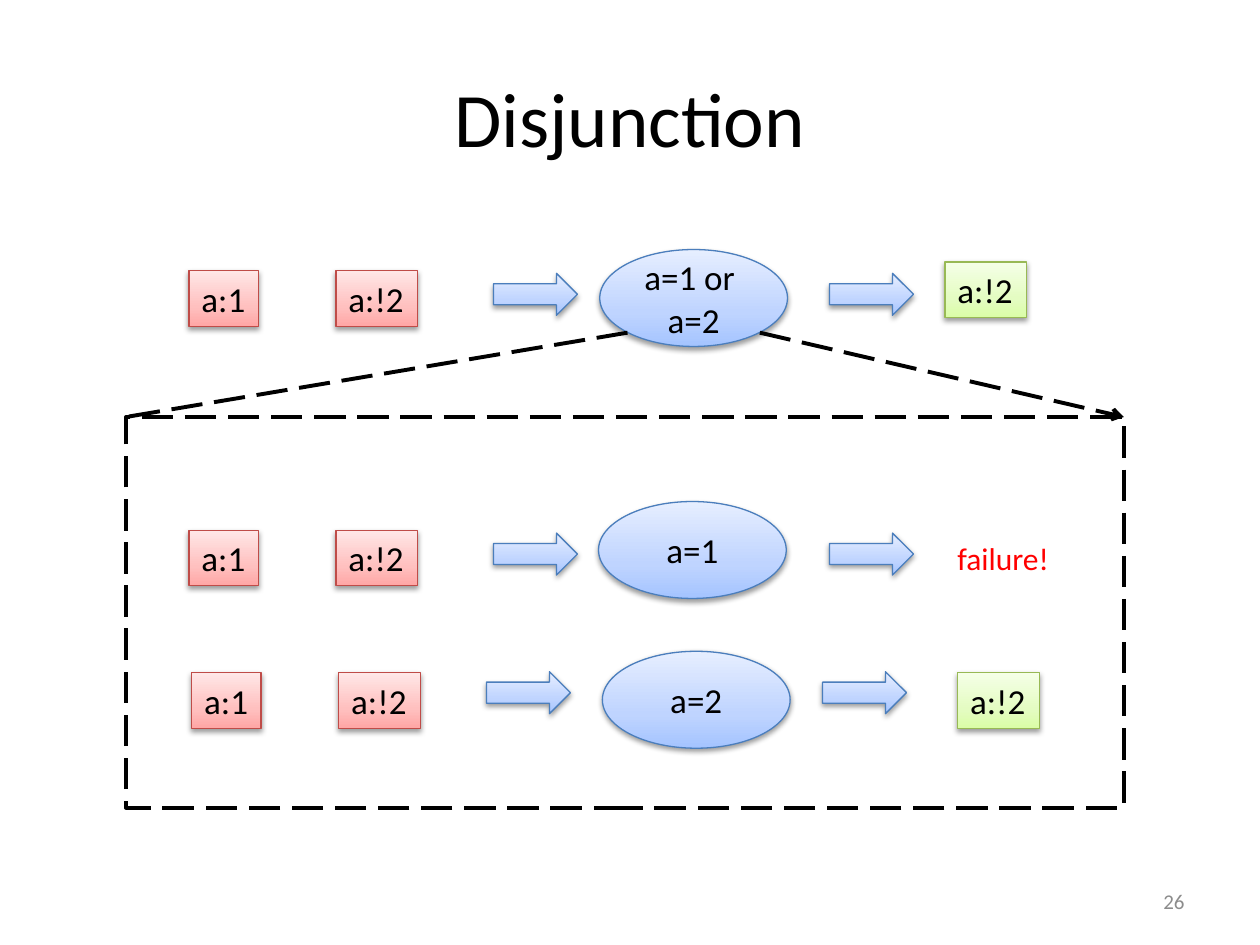
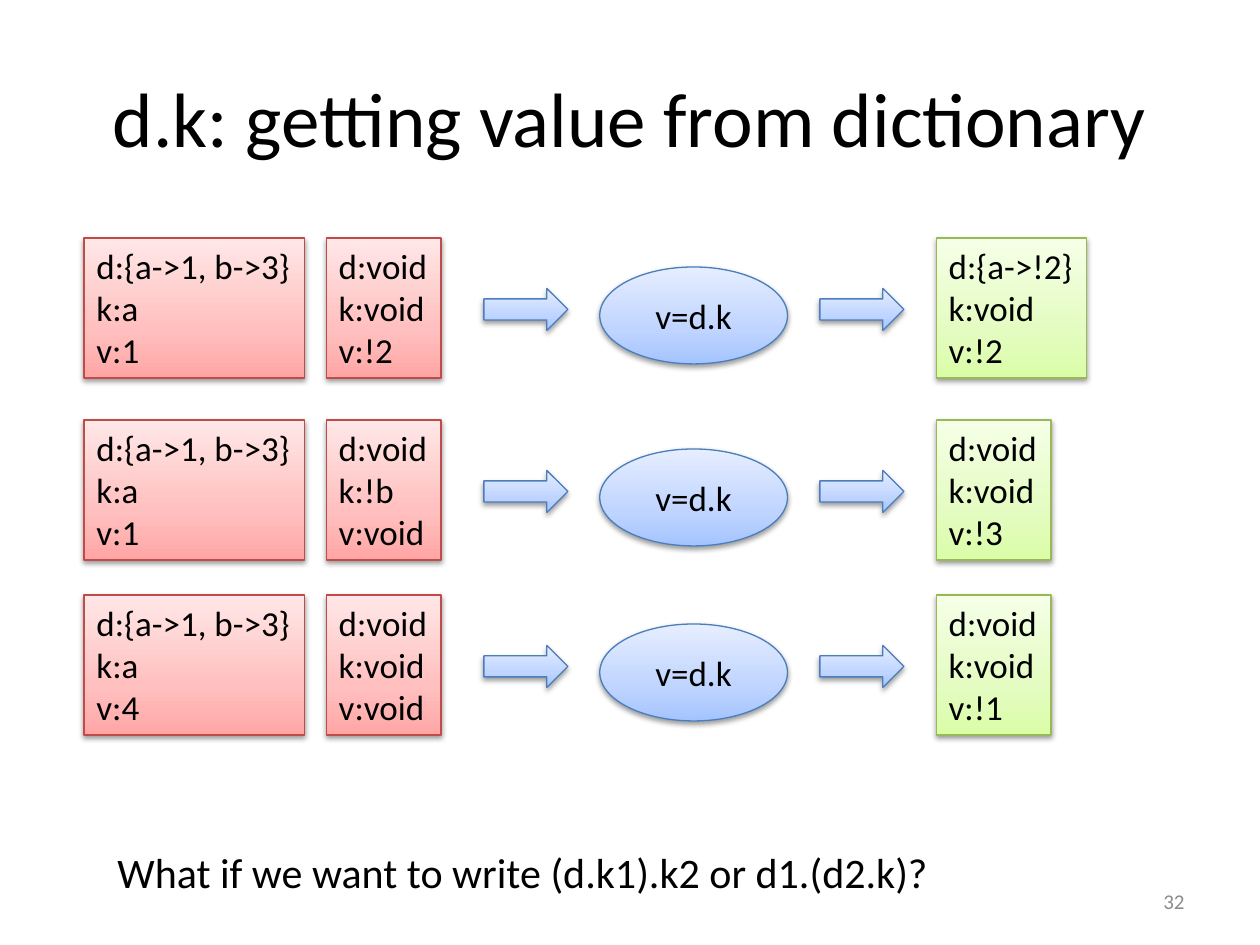
from lxml import etree
from pptx import Presentation
from pptx.dml.color import RGBColor
from pptx.enum.dml import MSO_LINE
from pptx.enum.shapes import MSO_CONNECTOR, MSO_SHAPE
from pptx.enum.text import MSO_ANCHOR, MSO_AUTO_SIZE, PP_ALIGN
from pptx.oxml.ns import qn
from pptx.util import Pt

RECTANGLE, OVAL, RIGHT_ARROW = MSO_SHAPE.RECTANGLE, MSO_SHAPE.OVAL, MSO_SHAPE.RIGHT_ARROW
LEFT, CENTER, RIGHT = PP_ALIGN.LEFT, PP_ALIGN.CENTER, PP_ALIGN.RIGHT
TOP, MIDDLE = MSO_ANCHOR.TOP, MSO_ANCHOR.MIDDLE
FIT, FIXED = MSO_AUTO_SIZE.SHAPE_TO_FIT_TEXT, MSO_AUTO_SIZE.NONE
LONG_DASH = MSO_LINE.LONG_DASH

# Content: (inputs, constraint, result); a line break inside a paragraph is \v
DISJUNCTION = {
    "title": "Disjunction",
    "number": "26",
    "rows": [
        (["a:1", "a:!2"], "a=1 or \va=2", "a:!2"),
        (["a:1", "a:!2"], "a=1", "failure!"),
        (["a:1", "a:!2"], "a=2", "a:!2"),
    ],
}
DICTIONARY = {
    "title": "d.k: getting value from dictionary",
    "number": "32",
    "rows": [
        (["d:{a->1, b->3}\vk:a\nv:1", "d:void\vk:void\nv:!2"], "v=d.k", "d:{a->!2}\vk:void\nv:!2"),
        (["d:{a->1, b->3}\vk:a\nv:1", "d:void\vk:!b\nv:void"], "v=d.k", "d:void\vk:void\nv:!3"),
        (["d:{a->1, b->3}\vk:a\nv:4", "d:void\vk:void\nv:void"], "v=d.k", "d:void\vk:void\nv:!1"),
    ],
    "question": "What if we want to write (d.k1).k2 or d1.(d2.k)?",
}

# Look
COLORS = {"text": "000000", "failure": "FF0000", "number": "8C8C8C", "frame": "000000",
          "shadow": "000000"}
STYLES = {
    "input": {"line": "BF4C48", "stops": ["FFA6A5", "FFC0BF", "FFE7E7"]},
    "result": {"line": "98B955", "stops": ["DAFDA7", "E4FCC2", "F5FFE7"]},
    "process": {"line": "4B7EBC", "stops": ["A4C4FF", "BFD4FF", "E6EEFF"]},
}
STOP_POSITIONS = [0, 35000, 100000]
FONT = "Calibri"

# Geometry in points
OVAL_SIZE, ARROW_SIZE, ARROW_STEP = (107.3, 55.4), (48, 24), 192
FRAME = (72, 238.3, 570.2, 223.2)
FRAME_RIGHT = FRAME[0] + FRAME[2]
CALLOUT_LINES = [((358.6, 190.1), FRAME[:2], False),
                 ((434.2, 190.1), (FRAME_RIGHT, FRAME[1]), True)]
DISJUNCTION_PLACES = [
    {"inputs": (108, 154.8), "arrow": (282, 156.2), "oval": (342.7, 142.6), "result": (540, 149.8)},
    {"inputs": (108, 303.1), "arrow": (282, 304.6), "oval": (342, 286.6), "result": (540, 304.6)},
    {"inputs": (109.6, 384.5), "arrow": (278, 383.8), "oval": (344.2, 372.2), "result": (547.2, 384.5)},
]
DICTIONARY_TOPS = [136, 240, 340]
DICTIONARY_PLACES = [
    {"inputs": (48, top), "arrow": (276.5, top + 28.8), "oval": (342.7, top + 16.6),
     "result": (535, top)} for top in DICTIONARY_TOPS]
DISJUNCTION_BOXES = {"step": 84, "height": 31.7, "widths": {"a:1": 39.6, "a:!2": 46.8}}
DICTIONARY_BOXES = {"step": 138.5, "height": 80,
                    "widths": {"d:{a->1, b->3}": 126, "d:{a->!2}": 85.7, "d:void": 65.6}}


def write_text(shape, text, size=20, color="text", align=LEFT, anchor=TOP, wrap=False, fit=FIT):
    frame = shape.text_frame
    frame.text = text
    values = {"word_wrap": wrap, "auto_size": fit, "vertical_anchor": anchor}
    for name, value in values.items():
        setattr(frame, name, value)
    for paragraph in frame.paragraphs:
        paragraph.alignment = align
        for run in paragraph.runs:
            for name, value in {"name": FONT, "size": Pt(size)}.items():
                setattr(run.font, name, value)
            run.font.color.rgb = RGBColor.from_string(COLORS[color])


def add_text(slide, box, text, **options):
    write_text(slide.shapes.add_textbox(*map(Pt, box)), text, **options)


def add_color(parent, color):
    return etree.SubElement(parent, qn("a:srgbClr"), val=color)


def add_filled_shape(slide, kind, box, style):
    shape = slide.shapes.add_shape(kind, *map(Pt, box))
    properties = shape.element.spPr
    # Gradient rising from the bottom edge
    shape.fill.gradient()
    shape.fill.gradient_angle = 90
    stops = properties.find(".//" + qn("a:gsLst"))
    for stop in list(stops):
        stops.remove(stop)
    for position, color in zip(STOP_POSITIONS, STYLES[style]["stops"]):
        add_color(etree.SubElement(stops, qn("a:gs"), pos=str(position)), color)
    shape.line.color.rgb = RGBColor.from_string(STYLES[style]["line"])
    shape.line.width = Pt(0.75)
    # Soft shadow straight below
    shape.shadow.inherit = False
    shadow = etree.SubElement(properties.find(qn("a:effectLst")), qn("a:outerShdw"),
                              blurRad=str(Pt(3.1)), dist=str(Pt(1.6)), dir="5400000",
                              rotWithShape="0")
    etree.SubElement(add_color(shadow, COLORS["shadow"]), qn("a:alpha"), val="38000")
    return shape


def add_value_box(slide, left, top, text, style, boxes):
    width = boxes["widths"][text.split("\v")[0]]
    shape = add_filled_shape(slide, RECTANGLE, (left, top, width, boxes["height"]), style)
    write_text(shape, text)


def add_row(slide, row, places, boxes):
    inputs, constraint, result = row
    left, top = places["inputs"]
    for index, text in enumerate(inputs):
        add_value_box(slide, left + index * boxes["step"], top, text, "input", boxes)
    left, top = places["arrow"]
    for index in range(2):
        add_filled_shape(slide, RIGHT_ARROW, (left + index * ARROW_STEP, top, *ARROW_SIZE), "process")
    oval = add_filled_shape(slide, OVAL, (*places["oval"], *OVAL_SIZE), "process")
    write_text(oval, constraint, align=CENTER, anchor=MIDDLE, fit=FIXED)
    if result == "failure!":
        add_text(slide, (*places["result"], 67.7, 29), result, size=18, color="failure")
    else:
        add_value_box(slide, *places["result"], result, "result", boxes)


def dash_line(line):
    line.color.rgb = RGBColor.from_string(COLORS["frame"])
    for name, value in {"width": Pt(2.25), "dash_style": LONG_DASH}.items():
        setattr(line, name, value)


def add_callout(slide):
    frame = slide.shapes.add_shape(RECTANGLE, *map(Pt, FRAME))
    frame.fill.background()
    frame.shadow.inherit = False
    dash_line(frame.line)
    for start, end, has_arrow in CALLOUT_LINES:
        connector = slide.shapes.add_connector(MSO_CONNECTOR.STRAIGHT, *map(Pt, (*start, *end)))
        dash_line(connector.line)
        properties = connector.element.spPr
        if has_arrow:
            etree.SubElement(properties.find(qn("a:ln")), qn("a:tailEnd"), type="arrow")
        etree.SubElement(properties, qn("a:effectLst"))


def add_diagram_slide(presentation, content, places, boxes):
    slide = presentation.slides.add_slide(presentation.slide_layouts[6])
    add_text(slide, (36, 21.6, 648, 90), content["title"], size=44, align=CENTER,
             anchor=MIDDLE, wrap=True, fit=FIXED)
    for row, row_places in zip(content["rows"], places):
        add_row(slide, row, row_places, boxes)
    add_text(slide, (516, 500.5, 168, 28.8), content["number"], size=12, color="number",
             align=RIGHT, anchor=MIDDLE, wrap=True, fit=FIXED)
    return slide


def main():
    presentation = Presentation()
    presentation.slide_width, presentation.slide_height = Pt(720), Pt(540)
    slide = add_diagram_slide(presentation, DISJUNCTION, DISJUNCTION_PLACES, DISJUNCTION_BOXES)
    add_callout(slide)
    slide = add_diagram_slide(presentation, DICTIONARY, DICTIONARY_PLACES, DICTIONARY_BOXES)
    add_text(slide, (60, 480, 481, 36), DICTIONARY["question"], size=24)
    presentation.save("out.pptx")


if __name__ == "__main__":
    main()
